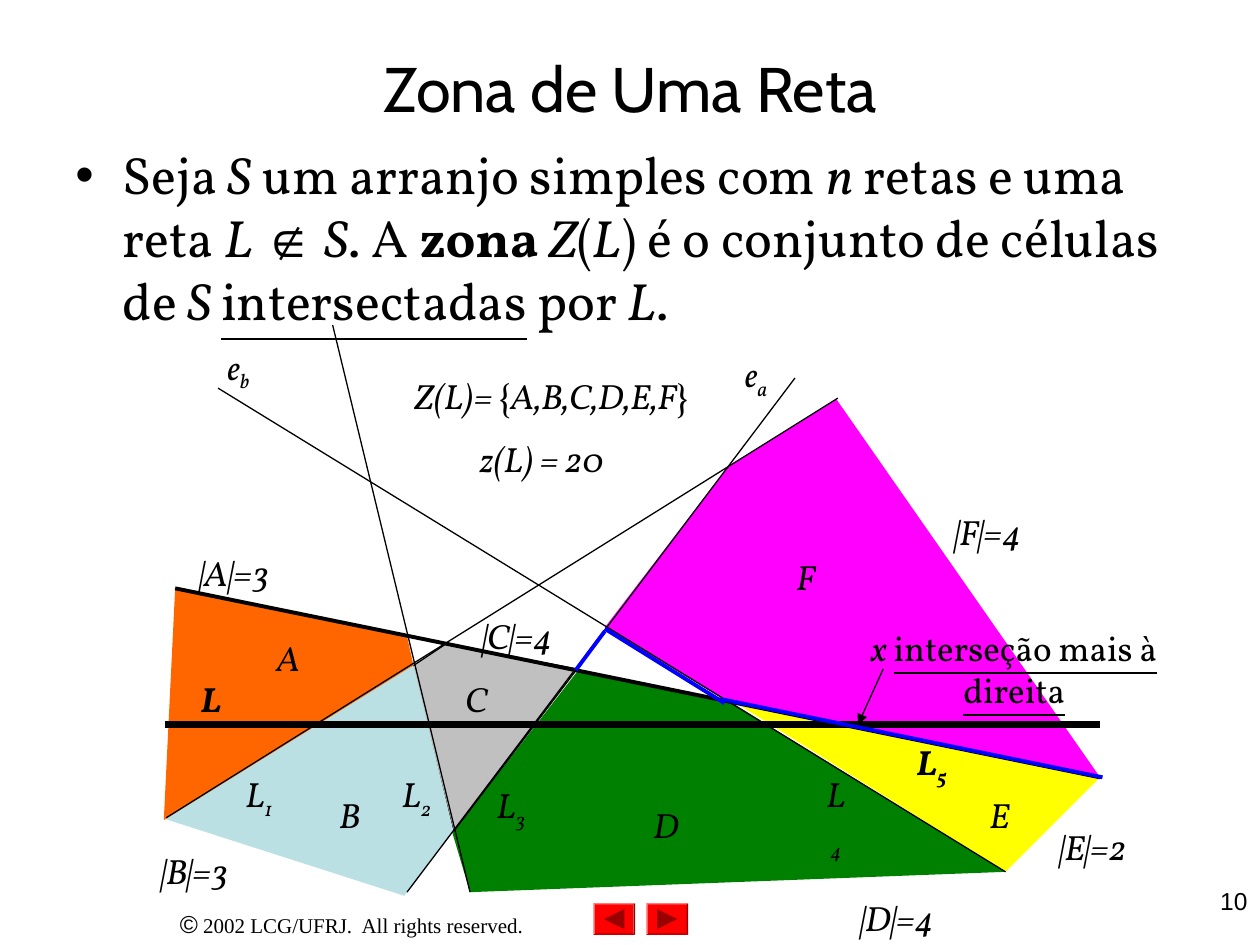
from lxml import etree
from pptx import Presentation
from pptx.dml.color import RGBColor
from pptx.enum.shapes import MSO_CONNECTOR, MSO_SHAPE
from pptx.enum.text import MSO_ANCHOR, MSO_AUTO_SIZE, PP_ALIGN
from pptx.oxml.ns import qn
from pptx.util import Pt

STRAIGHT = MSO_CONNECTOR.STRAIGHT
BEVEL = MSO_SHAPE.BEVEL
TRIANGLE = MSO_SHAPE.ISOSCELES_TRIANGLE
LEFT, CENTER, RIGHT = PP_ALIGN.LEFT, PP_ALIGN.CENTER, PP_ALIGN.RIGHT
TOP, MIDDLE = MSO_ANCHOR.TOP, MSO_ANCHOR.MIDDLE
GROW, FIXED = MSO_AUTO_SIZE.SHAPE_TO_FIT_TEXT, MSO_AUTO_SIZE.NONE

COLORS = {
    "ink": "000000", "A": "FF6600", "B": "BBE0E3", "C": "C0C0C0",
    "D": "008000", "E": "FFFF00", "F": "FF00FF",
    "boundary": "0000FF", "button": "FF0000", "arrow": "990000",
}
SERIF, SANS, HEADING, FOOTER = "Vollkorn", "Arial", "Cabin", "Times New Roman"

CELLS = {
    "F": [(478, 228.2), (416.2, 266.4), (345.6, 358.6), (414.7, 400.3), (628.6, 444.2)],
    "E": [(574.6, 498.2), (418.3, 400.3), (628.6, 444.2)],
    "D": [(268.6, 509.8), (258.5, 475.9), (329.8, 383.8), (416.2, 400.3), (574.6, 498.2)],
    "C": [(235.4, 380.9), (254.9, 367.9), (329.8, 382.3), (259.2, 475.2)],
    "B": [(94.3, 468), (236.2, 380.2), (259.2, 475.2), (231.1, 511.9)],
    "A": [(100.1, 336.2), (232.6, 363.6), (236.2, 380.2), (93.6, 468.7)],
}
ARRANGEMENT = [
    ((124.6, 221.8), (574.6, 498.2), 0.75),
    ((454.3, 216), (232.6, 509.8), 0.75),
    ((190.1, 185.8), (268.6, 509.8), 0.75),
    ((100.1, 336.2), (628.6, 444.2), 2.25),
    ((94.3, 414), (628.6, 414), 4.5),
    ((478.8, 227.5), (95, 467.3), 0.75),
]
BOUNDARY = [
    ((630, 444.2), (412.6, 399.6)),
    ((414, 401.8), (345.6, 359.3)),
    ((345.6, 360.7), (329, 383)),
]
LABELS = [
    ("A", 150.5, 360, 28.8), ("B", 186.5, 450, 26.6), ("C", 258.5, 383.8, 27.4),
    ("D", 365.8, 455.8, 29.5), ("E", 558, 450, 26.6), ("F", 447.8, 313.9, 25.2),
    ("|A|=3", 96.5, 311.8, 74.9), ("|B|=3", 74.9, 481.7, 72.7),
    ("|C|=4", 258.5, 347.8, 74.2), ("|D|=4", 474.5, 509, 76.3),
    ("|E|=2", 588.2, 468, 72.7), ("|F|=4", 528.5, 288, 72),
    ("z(L) = 20", 265.7, 246.2, 87.8),
]
INDEXED = [
    ("L", "1", "i", 132.5, 437.8, 31), ("L", "2", "i", 222.5, 437.8, 31),
    ("L", "3", "i", 276.5, 444.2, 31), ("L", "4", "i", 462.2, 437.8, 31),
    ("L", "5", "bi", 516.2, 419.8, 32.4),
    ("e", "a", "i", 418.3, 198, 27.4), ("e", "b", "i", 122.4, 193.7, 27.4),
]
DEFINITION = [
    ("Seja ", ""), ("S", "i"), (" um arranjo simples com ", ""), ("n", "i"),
    (" retas e uma reta ", ""), ("L ", "i"), ("∉", "", SANS), (" S", "i"),
    (". A ", ""), ("zona ", "b"), ("Z", "i"), ("(", ""), ("L", "i"),
    (") é o conjunto de células de ", ""), ("S ", "i"), ("intersectadas", "u"),
    (" por ", ""), ("L", "i"), (".", ""),
]


def color(key):
    return RGBColor.from_string(COLORS[key])


def add_text(slide, box, runs, size, font=SERIF, align=CENTER, anchor=TOP,
             wrap=True, fit=FIXED):
    frame = slide.shapes.add_textbox(*map(Pt, box)).text_frame
    frame.word_wrap = wrap
    frame.auto_size = fit
    frame.vertical_anchor = anchor
    paragraph = frame.paragraphs[0]
    paragraph.alignment = align
    for text, marks, *special in runs:
        run = paragraph.add_run()
        run.text = text
        run.font.name = special[0] if special else font
        run.font.size = Pt(special[1] if len(special) > 1 else size)
        run.font.color.rgb = color("ink")
        run.font.bold = "b" in marks
        run.font.italic = "i" in marks
        run.font.underline = "u" in marks
        if "_" in marks:
            run.font._element.set("baseline", "-25000")
    return paragraph


def add_label(slide, runs, left, top, width, height=31.7):
    add_text(slide, (left, top, width, height), runs, 20, wrap=False, fit=GROW)


def add_bullet(paragraph):
    props = paragraph._p.get_or_add_pPr()
    props.set("marL", str(Pt(27)))
    props.set("indent", str(Pt(-27)))
    etree.SubElement(props, qn("a:buFont")).set("typeface", SANS)
    etree.SubElement(props, qn("a:buChar")).set("char", "•")


def add_line(slide, start, end, width, ink="ink", arrow=False):
    line = slide.shapes.add_connector(STRAIGHT, *map(Pt, start + end))
    line.line.color.rgb = color(ink)
    line.line.width = Pt(width)
    if arrow:
        etree.SubElement(line.line._get_or_add_ln(), qn("a:tailEnd")).set("type", "triangle")
    etree.SubElement(line._element.spPr, qn("a:effectLst"))


def add_cell(slide, name, corners, outlined=False):
    start, *rest = [(Pt(x), Pt(y)) for x, y in corners]
    builder = slide.shapes.build_freeform(*start)
    builder.add_line_segments(rest, close=True)
    cell = builder.convert_to_shape()
    paint(cell, name)
    if outlined:
        cell.line.color.rgb = color("ink")
        cell.line.width = Pt(0.75)


def paint(shape, key):
    shape.shadow.inherit = False
    shape.fill.solid()
    shape.fill.fore_color.rgb = color(key)
    shape.line.fill.background()


def add_button(slide, left, rotation):
    top, width, height, side = 516.2, 23.8, 18, 11.5
    face = slide.shapes.add_shape(BEVEL, Pt(left), Pt(top), Pt(width), Pt(height))
    face.adjustments[0] = 0.05
    paint(face, "button")
    arrow = slide.shapes.add_shape(
        TRIANGLE, Pt(left + (width - side) / 2), Pt(top + (height - side) / 2),
        Pt(side), Pt(side))
    arrow.rotation = rotation
    paint(arrow, "arrow")


def main():
    deck = Presentation()
    deck.slide_width, deck.slide_height = Pt(720), Pt(540)
    slide = deck.slides.add_slide(deck.slide_layouts[6])

    add_text(slide, (59.8, 516.2, 282.2, 24.5),
             [("©", "", SANS, 14), (" 2002 LCG/UFRJ.  All rights reserved.", "")],
             12, FOOTER, fit=GROW)
    add_button(slide, 369.4, 90)
    add_button(slide, 339.1, 270)
    add_text(slide, (36, 21.6, 648, 56.2), [("Zona de Uma Reta", "")], 36, HEADING,
             anchor=MIDDLE)
    definition = add_text(slide, (36, 77.8, 648, 126), DEFINITION, 30, align=LEFT)
    definition.space_before = Pt(3.7)
    add_bullet(definition)

    for name, corners in CELLS.items():
        add_cell(slide, name, corners, outlined=name == "C")
    for start, end, width in ARRANGEMENT:
        add_line(slide, start, end, width)

    for text, left, top, width in LABELS:
        add_label(slide, [(text, "i")], left, top, width)
    for base, index, marks, left, top, width in INDEXED:
        add_label(slide, [(base, marks), (index, marks + "_")], left, top, width, 34.6)
    add_label(slide, [("L", "bi")], 107.3, 383.8, 26.6)
    add_label(slide, [("Z(L)= ", "i"), ("{", ""), ("A,B,C,D,E,F", "i"), ("}", "")],
              221.8, 210.2, 186.5)
    add_text(slide, (486, 354.2, 187.2, 79.2),
             [("x ", "i"), ("interseção mais à direita", "u")], 20, fit=GROW)
    add_line(slide, (504.7, 382.3), (490.3, 414), 0.75, arrow=True)

    for start, end in BOUNDARY:
        add_line(slide, start, end, 2.25, "boundary")
    add_text(slide, (648, 502.6, 72, 37.4), [("10", "")], 14, SANS, RIGHT)
    deck.save("out.pptx")


if __name__ == "__main__":
    main()
